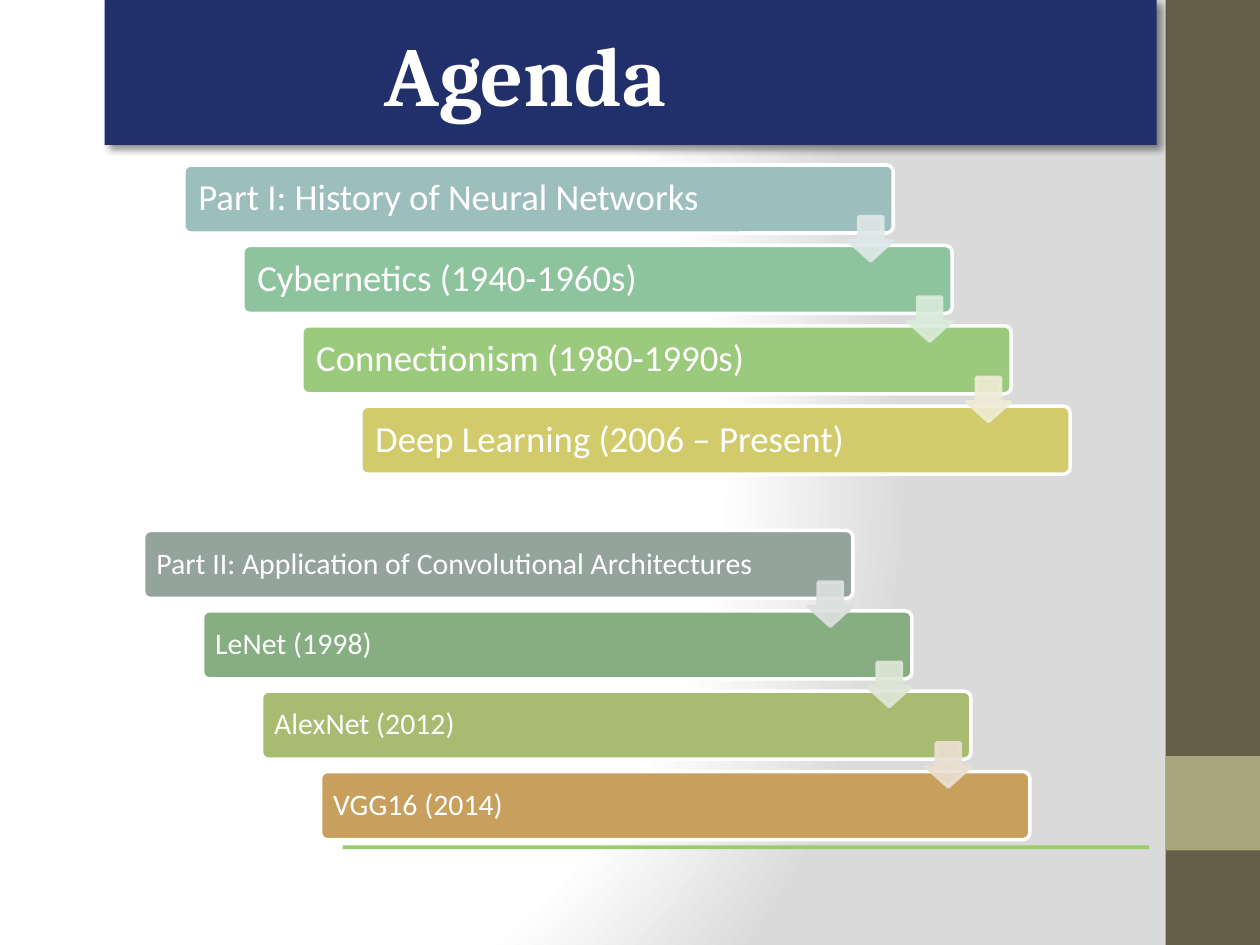
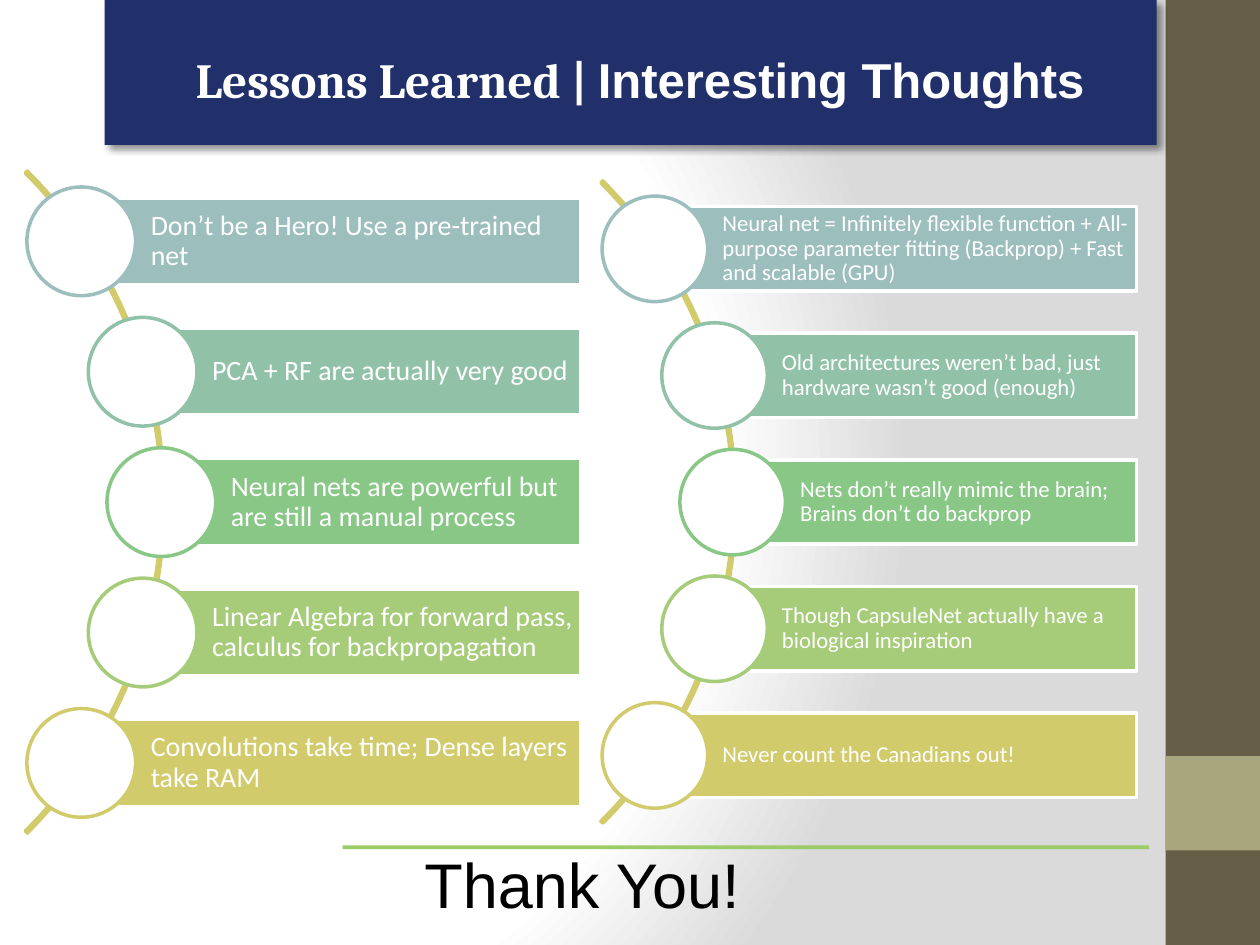
"""Build a two-slide deck on neural networks: the agenda and the lessons learned."""
from dataclasses import dataclass
from math import sqrt

from lxml.etree import SubElement
from pptx import Presentation
from pptx.dml.color import RGBColor
from pptx.enum.shapes import MSO_SHAPE
from pptx.enum.text import MSO_ANCHOR, MSO_AUTO_SIZE, PP_ALIGN
from pptx.oxml import parse_xml
from pptx.oxml.ns import nsdecls, qn
from pptx.util import Inches, Pt


@dataclass(frozen=True)
class Theme:
    white: str = "FFFFFF"
    black: str = "000000"
    backdrop: str = "DADADA"
    sidebar: str = "675E47"
    accent: str = "A9A57C"
    band: str = "21306B"
    rule: str = "9ACD66"
    arc: str = "D2CB6C"
    nodes: tuple = ("9CBEBD", "91C2A8", "88C785", "A7CC79", "D2CB6C")
    heading_font: str = "Cambria"
    body_font: str = "Calibri"
    plain_font: str = "Arial"
    agenda_size: int = 48
    closing_size: int = 36
    lessons_size: int = 28
    line_width: int = 2


theme = Theme()
presentation = Presentation()
presentation.slide_width, presentation.slide_height = Inches(10), Inches(7.5)
column = presentation.slide_width / 100
row = presentation.slide_height / 75


def add_block(slide, kind, left, top, width, height, fill=None, line=None):
    """Add a preset shape, measured in grid columns and rows."""
    shape = slide.shapes.add_shape(kind, round(left * column), round(top * row),
                                   round(width * column), round(height * row))
    shape.shadow.inherit = False
    if fill:
        shape.fill.solid()
        shape.fill.fore_color.rgb = RGBColor.from_string(fill)
    else:
        shape.fill.background()
    if line:
        shape.line.color.rgb = RGBColor.from_string(line)
        shape.line.width = Pt(theme.line_width)
    else:
        shape.line.fill.background()
    return shape


def write(shape, pieces, size, color, bold=False, align=PP_ALIGN.LEFT, anchor=MSO_ANCHOR.TOP):
    """Fill a shape with one paragraph of (text, font) pieces."""
    frame = shape.text_frame
    frame.word_wrap = True
    frame.auto_size = MSO_AUTO_SIZE.NONE
    frame.vertical_anchor = anchor
    paragraph = frame.paragraphs[0]
    paragraph.alignment = align
    for text, font in pieces:
        run = paragraph.add_run()
        run.text = text
        run.font.name = font
        run.font.size = Pt(size)
        run.font.bold = bold
        run.font.color.rgb = RGBColor.from_string(color)
    return paragraph


layout = presentation.slide_layouts[5]
for placeholder in list(layout.placeholders)[1:]:
    placeholder.element.getparent().remove(placeholder.element)
layout.element.cSld.insert(0, parse_xml(
    f'<p:bg {nsdecls("p", "a")}><p:bgPr><a:gradFill rotWithShape="1"><a:gsLst>'
    f'<a:gs pos="0"><a:srgbClr val="{theme.white}"/></a:gs>'
    f'<a:gs pos="75000"><a:srgbClr val="{theme.white}"/></a:gs>'
    f'<a:gs pos="100000"><a:srgbClr val="{theme.backdrop}"/></a:gs></a:gsLst>'
    '<a:path path="circle"><a:fillToRect l="20000" t="50000" r="100000" b="50000"/></a:path>'
    '</a:gradFill><a:effectLst/></p:bgPr></p:bg>'))

agenda = presentation.slides.add_slide(layout)
lessons = presentation.slides.add_slide(layout)

for left, top, width, height, fill in (
    (92.5, 0, 7.5, 75, theme.sidebar),
    (92.5, 60, 7.5, 7.5, theme.accent),
    (27.2, 67.1, 64, 0.3, theme.rule),
    (8.3, 0, 83.5, 11.5, theme.band),
):
    band = add_block(agenda, MSO_SHAPE.RECTANGLE, left, top, width, height, fill)
    layout.element.cSld.spTree.append(band.element)
band.element.spPr.find(qn("a:effectLst")).append(parse_xml(
    f'<a:outerShdw {nsdecls("a")} blurRad="{Pt(4)}" dist="{Pt(3)}" dir="2700000">'
    f'<a:srgbClr val="{theme.black}"><a:alpha val="43000"/></a:srgbClr></a:outerShdw>'))

for slide, box, pieces, size, align in (
    (agenda, (29.5, 1.3, 29.1, 9.1), [("Agenda", theme.heading_font)],
     theme.agenda_size, PP_ALIGN.LEFT),
    (lessons, (5.9, 3.4, 89.8, 10.4),
     [("Lessons Learned | ", theme.heading_font), ("Interesting Thoughts", theme.plain_font)],
     theme.lessons_size, PP_ALIGN.CENTER),
):
    title = slide.shapes.title
    title.left, title.width = round(box[0] * column), round(box[2] * column)
    title.top, title.height = round(box[1] * row), round(box[3] * row)
    write(title, pieces, size, theme.white, True, align)

staircases = (
    (14.6, 13.1, 21, 1.0, (
        ("Part I: History of Neural Networks", "9CBEBD", "DEE8E8"),
        ("Cybernetics (1940-1960s)", "8DC49D", "DAEBD9"),
        ("Connectionism (1980-1990s)", "9BCA7D", "EEECD4"),
        ("Deep Learning (2006 – Present)", "D2CB6C", None))),
    (11.4, 42.1, 17, 0.85, (
        ("Part II: Application of Convolutional Architectures", "95A39D", "DDE0DF"),
        ("LeNet (1998)", "87AE83", "DEE6D7"),
        ("AlexNet (2012)", "A7BB71", "EBDFD2"),
        ("VGG16 (2014)", "C89F5D", None))),
)
step_right, step_down = 4.68, 6.38
for first_left, first_top, size, inset, steps in staircases:
    for index, (text, fill, arrow_color) in enumerate(steps):
        step = add_block(agenda, MSO_SHAPE.ROUNDED_RECTANGLE, first_left + index * step_right,
                         first_top + index * step_down, 56.3, 5.4, fill, theme.white)
        step.adjustments[0] = 0.1
        step.text_frame.margin_left = round(inset * column)
        paragraph = write(step, [(text, theme.body_font)], size, theme.white,
                          anchor=MSO_ANCHOR.MIDDLE)
        paragraph.line_spacing = 0.9
    for index, (text, fill, arrow_color) in enumerate(steps[:-1]):
        arrow = add_block(agenda, MSO_SHAPE.DOWN_ARROW, first_left + 52.75 + index * step_right,
                          first_top + 4.1 + index * step_down, 3.5, 3.5, arrow_color, arrow_color)
        arrow.adjustments[0], arrow.adjustments[1] = 0.55, 0.45
        for color in arrow.element.spPr.iter(qn("a:srgbClr")):
            SubElement(color, qn("a:alpha"), val="90000")

wheels = (
    (-24.1, 37.15, 10.35, 46.1, 16, (
        "Don’t be a Hero! Use a pre-trained net",
        "PCA + RF are actually very good",
        "Neural nets are powerful but are still a manual process",
        "Linear Algebra for forward pass, calculus for backpropagation",
        "Convolutions take time; Dense layers take RAM")),
    (22.35, 36.05, 10.05, 90.2, 13, (
        "Neural net = Infinitely flexible function + All-purpose parameter fitting "
        "(Backprop) + Fast and scalable (GPU)",
        "Old architectures weren’t bad, just hardware wasn’t good (enough)",
        "Nets don’t really mimic the brain; Brains don’t do backprop",
        "Though CapsuleNet actually have a biological inspiration",
        "Never count the Canadians out!")),
)
middle = 39.85
for center, radius, gap, right, size, thoughts in wheels:
    arc = add_block(lessons, MSO_SHAPE.BLOCK_ARC, center - radius, middle - radius,
                    2 * radius, 2 * radius, line=theme.arc)
    arc.adjustments[0], arc.adjustments[1], arc.adjustments[2] = 189, 27, 0.003
    bar_height, diameter = gap * 2 / 3, gap * 5 / 6
    for index, (text, color) in enumerate(zip(thoughts, theme.nodes)):
        offset = (index - 2) * gap
        node = center + sqrt((radius - 0.25) ** 2 - offset ** 2)
        bar = add_block(lessons, MSO_SHAPE.RECTANGLE, node, middle + offset - bar_height / 2,
                        right - node, bar_height, color, theme.white)
        frame = bar.text_frame
        frame.margin_left = round(0.8 * bar_height * column)
        frame.margin_right = frame.margin_top = frame.margin_bottom = round(0.4 * column)
        paragraph = write(bar, [(text, theme.body_font)], size, theme.white,
                          anchor=MSO_ANCHOR.MIDDLE)
        paragraph.line_spacing = 0.9
        add_block(lessons, MSO_SHAPE.OVAL, node - diameter / 2, middle + offset - diameter / 2,
                  diameter, diameter, theme.white, color)

closing = lessons.shapes.add_textbox(round(32.7 * column), round(66.6 * row),
                                     round(32.5 * column), round(7.1 * row))
write(closing, [("Thank You!", theme.plain_font)], theme.closing_size, theme.black)

presentation.save("out.pptx")
